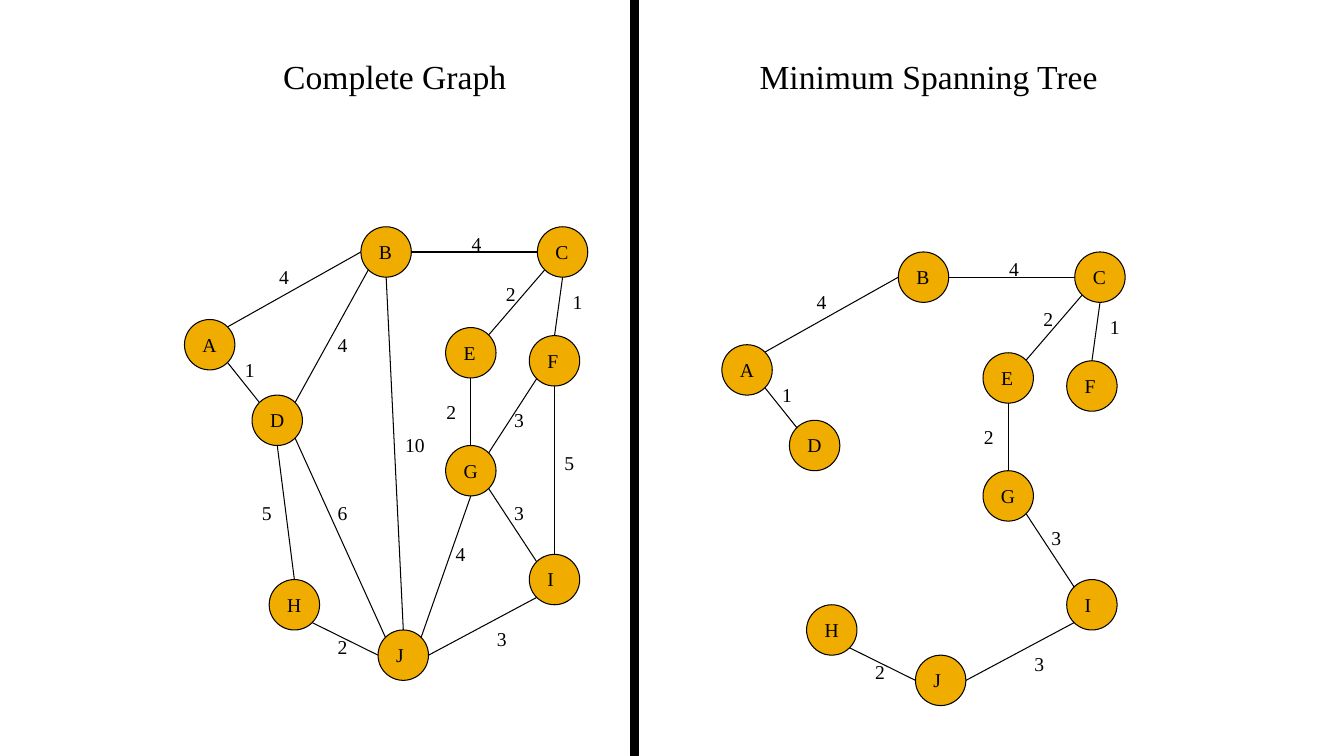
"""Build a slide comparing a weighted graph with its minimum spanning tree."""
from dataclasses import dataclass
from math import sqrt

from lxml import etree
from pptx import Presentation
from pptx.dml.color import RGBColor
from pptx.enum.shapes import MSO_CONNECTOR as Connector, MSO_SHAPE as Preset
from pptx.enum.text import MSO_ANCHOR as Anchor, MSO_AUTO_SIZE as AutoSize, PP_ALIGN as Align
from pptx.oxml.ns import qn
from pptx.util import Inches, Pt

AMBER = RGBColor(0xF0, 0xAD, 0x00)
BLACK = RGBColor(0x00, 0x00, 0x00)
FONT = "Times New Roman"
LABEL_SIZE = 14
HEADING_SIZE = 24
LINE_WIDTH = Pt(0.75)
RADIUS = 0.25
LETTER_INSET = 0.08
LABEL_HEIGHT = 0.33
LABEL_MARGINS = 0.2
TREE_OFFSET = (5.33, 0.25)

DIAGONAL = sqrt(0.5)
PORTS = {
    "N": (0, -1), "S": (0, 1), "W": (-1, 0), "E": (1, 0),
    "NW": (-DIAGONAL, -DIAGONAL), "NE": (DIAGONAL, -DIAGONAL),
    "SW": (-DIAGONAL, DIAGONAL), "SE": (DIAGONAL, DIAGONAL),
}
EM_WIDTHS = {
    "A": 0.72, "B": 0.67, "C": 0.67, "D": 0.72, "E": 0.61,
    "F": 0.56, "G": 0.72, "H": 0.72, "I": 0.33, "J": 0.39,
}
DIGIT_EM_WIDTH = 0.5


@dataclass(frozen=True)
class Edge:
    start: str
    start_port: str
    end: str
    end_port: str
    weight: int
    label_left: float
    label_top: float
    in_tree: bool = False


@dataclass(frozen=True)
class Heading:
    text: str
    left: float
    width: float


NODES = {
    "A": (1.83, 3.17), "B": (3.58, 2.25), "C": (5.33, 2.25), "D": (2.5, 3.92),
    "E": (4.42, 3.25), "F": (5.25, 3.33), "G": (4.42, 4.42), "H": (2.67, 5.75),
    "I": (5.25, 5.5), "J": (3.75, 6.25),
}
EDGES = [
    Edge("A", "NE", "B", "W", 4, 2.67, 2.58, True),
    Edge("A", "SE", "D", "NW", 1, 2.33, 3.5, True),
    Edge("B", "E", "C", "W", 4, 4.58, 2.25, True),
    Edge("B", "SW", "D", "NE", 4, 3.25, 3.25),
    Edge("B", "S", "J", "N", 10, 3.92, 4.25),
    Edge("C", "SW", "E", "NE", 2, 4.92, 2.75, True),
    Edge("C", "S", "F", "N", 1, 5.58, 2.83, True),
    Edge("D", "S", "H", "N", 5, 2.5, 4.92),
    Edge("D", "SE", "J", "NW", 6, 3.25, 4.92),
    Edge("E", "S", "G", "N", 2, 4.33, 3.92, True),
    Edge("F", "SW", "G", "NE", 3, 5, 4),
    Edge("F", "S", "I", "N", 5, 5.5, 4.42),
    Edge("G", "SE", "I", "NW", 3, 5, 4.92, True),
    Edge("G", "S", "J", "NE", 4, 4.42, 5.33),
    Edge("H", "SE", "J", "W", 2, 3.25, 6.25, True),
    Edge("I", "SW", "J", "E", 3, 4.83, 6.17, True),
]
HEADINGS = [
    Heading("Complete Graph", 2, 3.83),
    Heading("Minimum Spanning Tree", 7.42, 3.58),
]


def style_font(paragraph, size: int) -> None:
    font = paragraph.font
    font.name, font.size, font.bold = FONT, Pt(size), False
    font.color.rgb = BLACK


def fill_heading(placeholder, heading: Heading) -> None:
    placeholder.left, placeholder.top = Inches(heading.left), Inches(0.5)
    placeholder.width, placeholder.height = Inches(heading.width), Inches(0.5)
    frame = placeholder.text_frame
    frame.text = heading.text
    frame.vertical_anchor, frame.auto_size = Anchor.TOP, AutoSize.NONE
    paragraph = frame.paragraphs[0]
    paragraph.alignment, paragraph.space_before = Align.CENTER, Pt(0)
    style_font(paragraph, HEADING_SIZE)


def draw_preset(shapes, preset: Preset, left: float, top: float,
                width: float, height: float, color: RGBColor) -> None:
    shape = shapes.add_shape(preset, Inches(left), Inches(top), Inches(width), Inches(height))
    shape.shadow.inherit = False
    shape.fill.solid()
    shape.fill.fore_color.rgb = color
    shape.line.color.rgb = BLACK
    shape.line.width = LINE_WIDTH


def draw_label(shapes, text: str, left: float, top: float) -> None:
    ems = sum(EM_WIDTHS.get(character, DIGIT_EM_WIDTH) for character in text)
    width = LABEL_MARGINS + ems * LABEL_SIZE / 72
    label = shapes.add_textbox(Inches(left), Inches(top), Inches(width), Inches(LABEL_HEIGHT))
    frame = label.text_frame
    frame.text = text
    frame.word_wrap, frame.auto_size = False, AutoSize.SHAPE_TO_FIT_TEXT
    style_font(frame.paragraphs[0], LABEL_SIZE)


def port_point(node: str, port: str, dx: float, dy: float) -> tuple[int, int]:
    left, top = NODES[node]
    across, down = PORTS[port]
    return (Inches(left + dx + RADIUS * (1 + across)),
            Inches(top + dy + RADIUS * (1 + down)))


def draw_edge(shapes, edge: Edge, dx: float, dy: float) -> None:
    line = shapes.add_connector(Connector.STRAIGHT,
                                *port_point(edge.start, edge.start_port, dx, dy),
                                *port_point(edge.end, edge.end_port, dx, dy))
    line.line.color.rgb = BLACK
    line.line.width = LINE_WIDTH
    etree.SubElement(line._element.spPr, qn("a:effectLst"))
    draw_label(shapes, str(edge.weight), edge.label_left + dx, edge.label_top + dy)


def draw_graph(shapes, edges: list[Edge], dx: float = 0, dy: float = 0) -> None:
    for letter, (left, top) in NODES.items():
        draw_preset(shapes, Preset.OVAL, left + dx, top + dy, 2 * RADIUS, 2 * RADIUS, AMBER)
        draw_label(shapes, letter, left + dx + LETTER_INSET, top + dy + LETTER_INSET)
    for edge in edges:
        draw_edge(shapes, edge, dx, dy)


def main() -> None:
    presentation = Presentation()
    presentation.slide_width, presentation.slide_height = Inches(13.33), Inches(7.5)
    comparison_layout = presentation.slide_layouts.get_by_name("Comparison")
    slide = presentation.slides.add_slide(comparison_layout)
    graph_heading, tree_heading, *unused = slide.placeholders
    for placeholder in unused:
        placeholder.element.getparent().remove(placeholder.element)
    for placeholder, heading in zip((graph_heading, tree_heading), HEADINGS):
        fill_heading(placeholder, heading)
    draw_preset(slide.shapes, Preset.RECTANGLE, 6.25, 0, 0.08, 7.5, BLACK)
    draw_graph(slide.shapes, EDGES)
    draw_graph(slide.shapes, [edge for edge in EDGES if edge.in_tree], *TREE_OFFSET)
    presentation.save("out.pptx")


if __name__ == "__main__":
    main()
